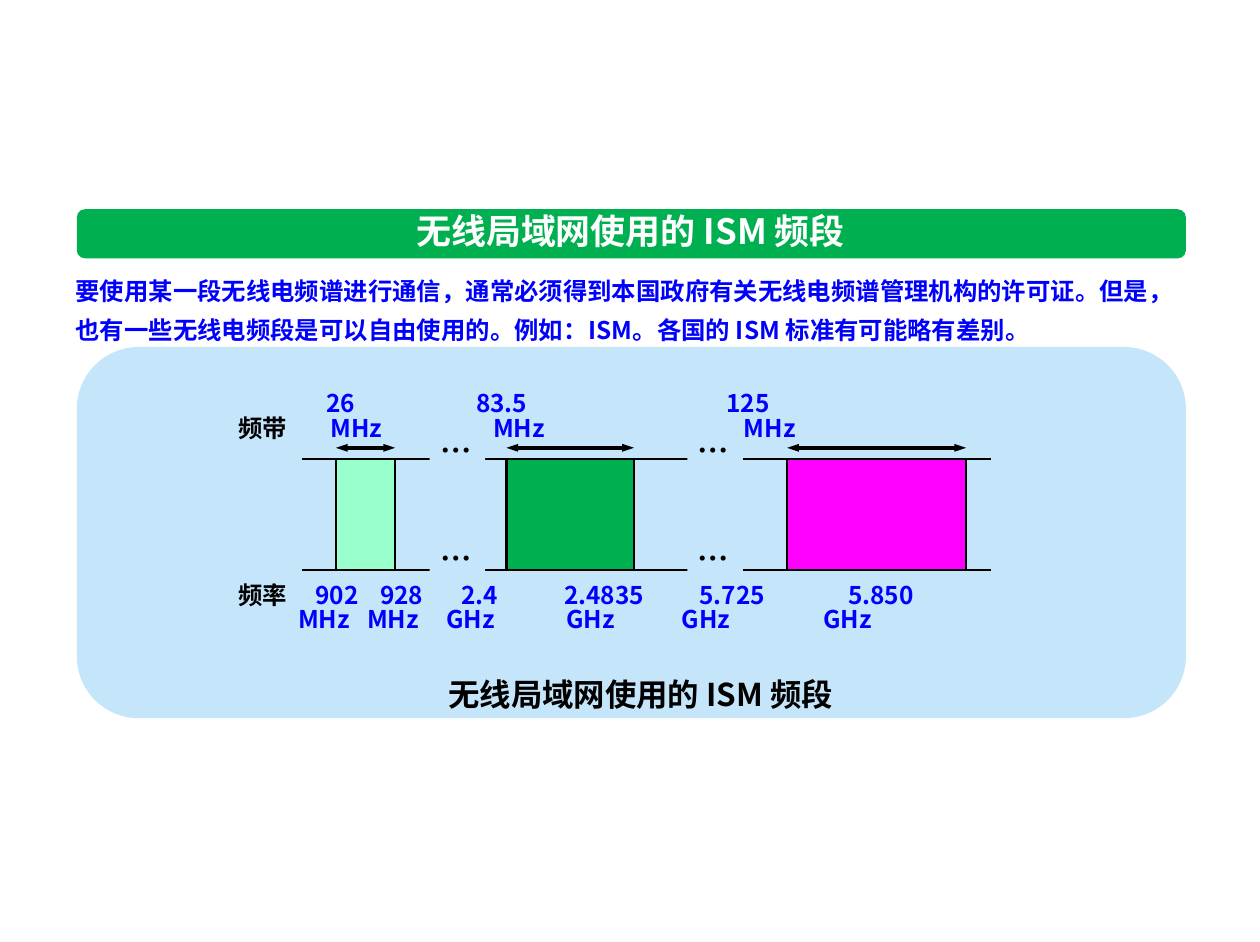
from dataclasses import dataclass

from lxml.etree import SubElement
from pptx import Presentation
from pptx.dml.color import RGBColor
from pptx.enum.shapes import MSO_CONNECTOR, MSO_SHAPE
from pptx.enum.text import MSO_ANCHOR, PP_ALIGN
from pptx.oxml.ns import qn
from pptx.util import Pt


@dataclass(frozen=True)
class Theme:
    font: str = "Noto Sans CJK SC"
    white: RGBColor = RGBColor(255, 255, 255)
    black: RGBColor = RGBColor(0, 0, 0)
    blue: RGBColor = RGBColor(0, 0, 255)
    green: RGBColor = RGBColor(0, 176, 80)
    mint: RGBColor = RGBColor(153, 255, 204)
    magenta: RGBColor = RGBColor(255, 0, 255)
    panel: RGBColor = RGBColor(197, 229, 251)
    title_size: float = 19.9
    caption_size: float = 17.9
    body_size: float = 13.9


theme = Theme()
presentation = Presentation()
presentation.slide_width = Pt(718)
presentation.slide_height = Pt(537)
slide = presentation.slides.add_slide(presentation.slide_layouts[6])


def add_box(kind, left, top, width, height, fill):
    shape = slide.shapes.add_shape(kind, Pt(left), Pt(top), Pt(width), Pt(height))
    shape.shadow.inherit = False
    shape.fill.solid()
    shape.fill.fore_color.rgb = fill
    shape.line.fill.background()
    return shape


def style(paragraph, size, color, align=PP_ALIGN.LEFT):
    paragraph.alignment = align
    font = paragraph.font
    font.name = theme.font
    font.size = Pt(size)
    font.bold = True
    font.color.rgb = color
    defaults = paragraph._p.pPr.find(qn("a:defRPr"))
    SubElement(defaults, qn("a:ea"), typeface=theme.font)


add_box(MSO_SHAPE.ROUNDED_RECTANGLE, 43.8, 197.8, 632, 211.6, theme.panel)
add_box(MSO_SHAPE.ROUNDED_RECTANGLE, 43.8, 119.3, 632, 28, theme.green)

intro = slide.shapes.add_textbox(Pt(36), Pt(148.7), Pt(646.6), Pt(51.8))
intro.text_frame.word_wrap = True
intro.text_frame.text = (
    "要使用某一段无线电频谱进行通信，通常必须得到本国政府有关无线电频谱管理机构的许可证。"
    "但是，也有一些无线电频段是可以自由使用的。例如：ISM。各国的 ISM 标准有可能略有差别。"
)
intro.text_frame.paragraphs[0].line_spacing = Pt(21.9)
style(intro.text_frame.paragraphs[0], theme.body_size, theme.blue)

axis_top, axis_bottom, arrow_y = 261.7, 325, 255.3
bands = [
    (191.4, 33.8, theme.mint),
    (288.6, 72.7, theme.green),
    (448.5, 102, theme.magenta),
]
lines = [(172, 565, y, 1.5, False) for y in (axis_top, axis_bottom)]
lines += [(left, left + width, arrow_y, 2.25, True) for left, width, color in bands]
for start, end, y, weight, arrows in lines:
    line = slide.shapes.add_connector(
        MSO_CONNECTOR.STRAIGHT, Pt(start), Pt(y), Pt(end), Pt(y))
    line.line.color.rgb = theme.black
    line.line.width = Pt(weight)
    if arrows:
        outline = line.line._get_or_add_ln()
        for tag in ("a:headEnd", "a:tailEnd"):
            SubElement(outline, qn(tag), type="triangle", w="sm", len="med")
    SubElement(line._element.spPr, qn("a:effectLst"))

for left, width, color in bands:
    band = add_box(MSO_SHAPE.RECTANGLE, left, axis_top, width, axis_bottom - axis_top, color)
    band.line.color.rgb = theme.black
    band.line.width = Pt(1.5)

single_lines = [
    ("无线局域网使用的 ISM 频段", 219.6, 115.6, 279.4, 31.7, theme.title_size, theme.white),
    ("无线局域网使用的 ISM 频段", 211, 381.3, 308.2, 28.8, theme.caption_size, theme.black),
]
for left in (244.8, 391.7):
    for top in (257, 318.2):
        add_box(MSO_SHAPE.RECTANGLE, left, top, 31.7, 12.2, theme.panel)
        single_lines.append(
            ("…", left - 1.3, top - 14.6, 32.4, 28.8, theme.caption_size, theme.black))

for text, left, top, width, height, size, color in single_lines:
    box = slide.shapes.add_textbox(Pt(left), Pt(top), Pt(width), Pt(height))
    frame = box.text_frame
    frame.word_wrap = True
    frame.vertical_anchor = MSO_ANCHOR.MIDDLE
    frame.text = text
    style(frame.paragraphs[0], size, color, PP_ALIGN.CENTER)

label_rows = [
    (220.3, [
        ("", [("26", 50), ("83.5", 135.4), ("125", 278)]),
        ("频带", [("MHz", 52.5), ("MHz", 145), ("MHz", 288)]),
    ]),
    (329.4, [
        ("频率", [("902", 43.7), ("928", 80.7), ("2.4", 126.9),
                ("2.4835", 185.6), ("5.725", 262.6), ("5.850", 347.3)]),
        ("", [("MHz", 34), ("MHz", 73.3), ("GHz", 118.4),
              ("GHz", 186.7), ("GHz", 252.5), ("GHz", 333.3)]),
    ]),
]
for top, rows in label_rows:
    labels = slide.shapes.add_textbox(Pt(128.9), Pt(top), Pt(457), Pt(36))
    frame = labels.text_frame
    frame.word_wrap = True
    for index, (heading, values) in enumerate(rows):
        paragraph = frame.paragraphs[0] if index == 0 else frame.add_paragraph()
        paragraph.line_spacing = Pt(14.2)
        tabs = SubElement(paragraph._p.get_or_add_pPr(), qn("a:tabLst"))
        for value, position in values:
            SubElement(tabs, qn("a:tab"), pos=str(int(Pt(position))), algn="l")
        style(paragraph, theme.body_size, theme.blue)
        if heading:
            run = paragraph.add_run()
            run.text = heading
            run.font.color.rgb = theme.black
        paragraph.add_run().text = "".join("\t" + value for value, position in values)

presentation.save("out.pptx")
